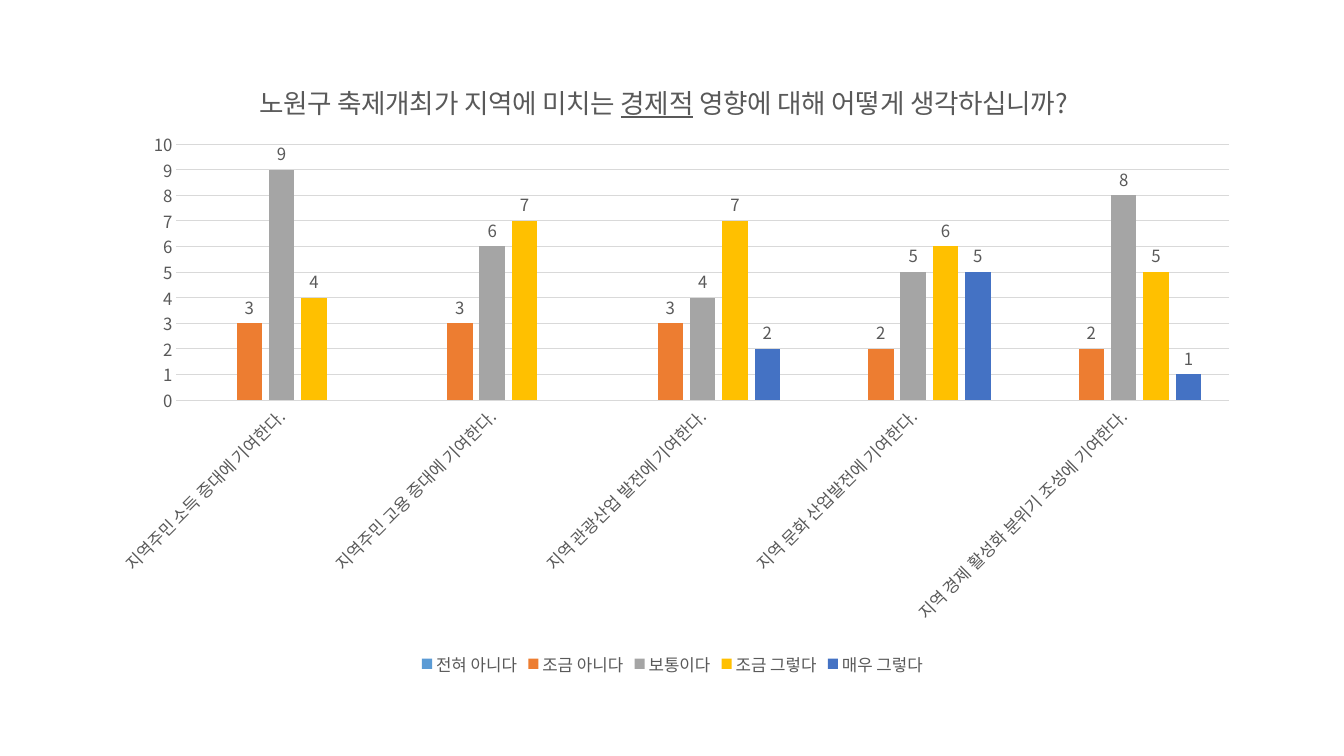
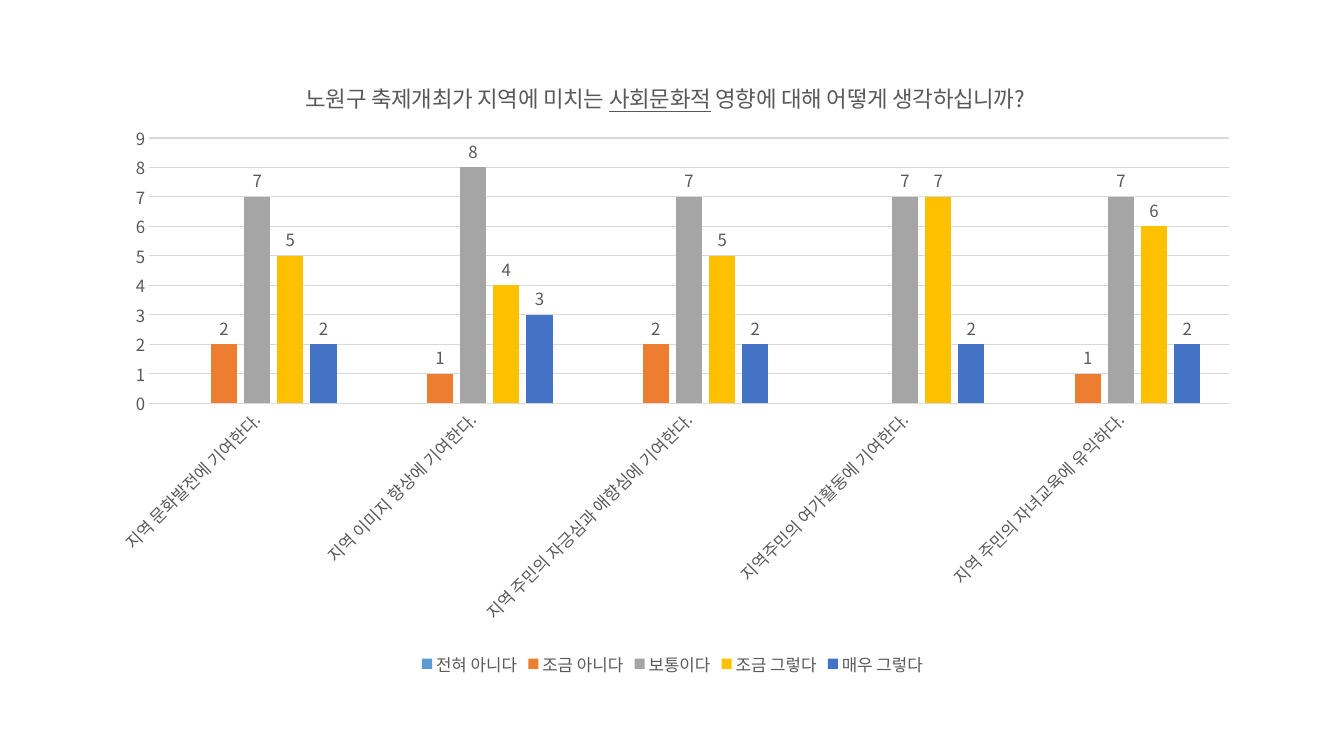
"""Builds two survey slides, each a clustered column chart of answers."""
import copy

import lxml.etree
import pptx
import pptx.chart.data
import pptx.dml.color
import pptx.enum.chart
import pptx.oxml.ns
import pptx.util

Inches = pptx.util.Inches
qn = pptx.oxml.ns.qn

FONT = "Noto Sans CJK KR"
TEXT, GRID = "595959", "D9D9D9"
CHART_LEFT, CHART_TOP, CHART_WIDTH, CHART_HEIGHT = 0.92, 0.53, 11.5, 6.22
TITLE_TOP = 0.77
ANSWERS = [
    ("전혀 아니다", "5B9BD5"),
    ("조금 아니다", "ED7D31"),
    ("보통이다", "A5A5A5"),
    ("조금 그렇다", "FFC000"),
    ("매우 그렇다", "4472C4"),
]
QUESTION = ("노원구 축제개최가 지역에 미치는 ", " 영향에 대해 어떻게 생각하십니까?")
SURVEYS = [
    {
        "topic": "경제적",
        "title_size": 19,
        "title_left": 2.54,
        "plot_area": (1.75, 1.43, 10.44, 2.54),
        "maximum": 10,
        "counts": {
            "지역주민 소득 증대에 기여한다.": (None, 3, 9, 4, None),
            "지역주민 고용 증대에 기여한다.": (None, 3, 6, 7, None),
            "지역 관광산업 발전에 기여한다.": (None, 3, 4, 7, 2),
            "지역 문화 산업발전에 기여한다.": (None, 2, 5, 6, 5),
            "지역 경제 활성화 분위기 조성에 기여한다.": (None, 2, 8, 5, 1),
        },
    },
    {
        "topic": "사회문화적",
        "title_size": 16,
        "title_left": 3,
        "plot_area": (1.48, 1.37, 10.71, 2.63),
        "maximum": 9,
        "counts": {
            "지역 문화발전에 기여한다.": (None, 2, 7, 5, 2),
            "지역 이미지 향상에 기여한다.": (None, 1, 8, 4, 3),
            "지역 주민의 자긍심과 애향심에 기여한다.": (None, 2, 7, 5, 2),
            "지역주민의 여가활동에 기여한다.": (None, None, 7, 7, 2),
            "지역 주민의 자녀교육에 유익하다.": (None, 1, 7, 6, 2),
        },
    },
]


def color(value):
    """Turn a hex string into a colour."""
    return pptx.dml.color.RGBColor.from_string(value)


def style_font(font, size=12):
    """Apply the shared text style."""
    font.name, font.bold = FONT, False
    font.size = pptx.util.Pt(size)
    font.color.rgb = color(TEXT)


def style_line(line):
    """Apply the thin grey line style."""
    line.color.rgb = color(GRID)
    line.width = pptx.util.Pt(0.75)


def place(element, index, left, top, width=None, height=None):
    """Fix a chart part at a position given in slide inches."""
    for old in element.findall(qn("c:layout")):
        element.remove(old)
    layout = lxml.etree.Element(qn("c:layout"))
    manual = lxml.etree.SubElement(layout, qn("c:manualLayout"))
    settings = [("xMode", "edge"), ("yMode", "edge"),
                ("x", (left - CHART_LEFT) / CHART_WIDTH),
                ("y", (top - CHART_TOP) / CHART_HEIGHT)]
    if width:
        settings.insert(0, ("layoutTarget", "inner"))
        settings += [("w", width / CHART_WIDTH), ("h", height / CHART_HEIGHT)]
    for name, value in settings:
        lxml.etree.SubElement(manual, qn("c:" + name)).set("val", str(value))
    element.insert(index, layout)


def add_title(chart, survey):
    """Write the question with its topic underlined."""
    title = chart.chart_title
    para = title.text_frame.paragraphs[0]
    style_font(para.font, survey["title_size"])
    before, after = QUESTION
    for text, underlined in ((before, False), (survey["topic"], True), (after, False)):
        span = para.add_run()
        span.text = text
        span.font.underline = underlined
    place(chart.element.find(".//" + qn("c:title")), 1, survey["title_left"], TITLE_TOP)


def format_axes(chart, maximum):
    """Style both axes and slant the category labels."""
    none = pptx.enum.chart.XL_TICK_MARK.NONE
    for axis in (chart.category_axis, chart.value_axis):
        axis.major_tick_mark = axis.minor_tick_mark = none
        style_font(axis.tick_labels.font)
    style_line(chart.category_axis.format.line)
    values = chart.value_axis
    values.minimum_scale, values.maximum_scale, values.major_unit = 0, maximum, 1
    values.format.line.fill.background()
    values.has_major_gridlines = True
    style_line(values.major_gridlines.format.line)
    label_body = chart.element.find(
        ".//" + "/".join(qn(tag) for tag in ("c:catAx", "c:txPr", "a:bodyPr")))
    label_body.set("rot", str(-45 * 60000))


def add_survey(deck, survey):
    """Add one slide with the survey chart."""
    page = deck.slides.add_slide(deck.slide_layouts[6])
    data = pptx.chart.data.CategoryChartData()
    data.categories = list(survey["counts"])
    for (answer, _), values in zip(ANSWERS, zip(*survey["counts"].values())):
        data.add_series(answer, values)
    chart = page.shapes.add_chart(
        pptx.enum.chart.XL_CHART_TYPE.COLUMN_CLUSTERED,
        Inches(CHART_LEFT), Inches(CHART_TOP),
        Inches(CHART_WIDTH), Inches(CHART_HEIGHT), data).chart
    style_font(chart.font)
    add_title(chart, survey)
    format_axes(chart, survey["maximum"])

    plot = chart.plots[0]
    plot.gap_width, plot.overlap, plot.vary_by_categories = 219, -27, False
    for series, (_, fill) in zip(plot.series, ANSWERS):
        series.format.fill.solid()
        series.format.fill.fore_color.rgb = color(fill)
        labels = series.data_labels
        labels.show_value = True
        labels.position = pptx.enum.chart.XL_LABEL_POSITION.OUTSIDE_END
        style_font(labels.font)
    place(chart.element.find(".//" + qn("c:plotArea")), 0, *survey["plot_area"])

    chart.has_legend = True
    chart.legend.position = pptx.enum.chart.XL_LEGEND_POSITION.BOTTOM
    chart.legend.include_in_layout = False
    style_font(chart.legend.font)
    for latin in list(chart.element.iter(qn("a:latin"))):
        east_asian = copy.copy(latin)
        east_asian.tag = qn("a:ea")
        latin.addnext(east_asian)


def main():
    """Build and save the deck."""
    deck = pptx.Presentation()
    deck.slide_width, deck.slide_height = Inches(13.33), Inches(7.5)
    for survey in SURVEYS:
        add_survey(deck, survey)
    deck.save("out.pptx")


if __name__ == "__main__":
    main()
